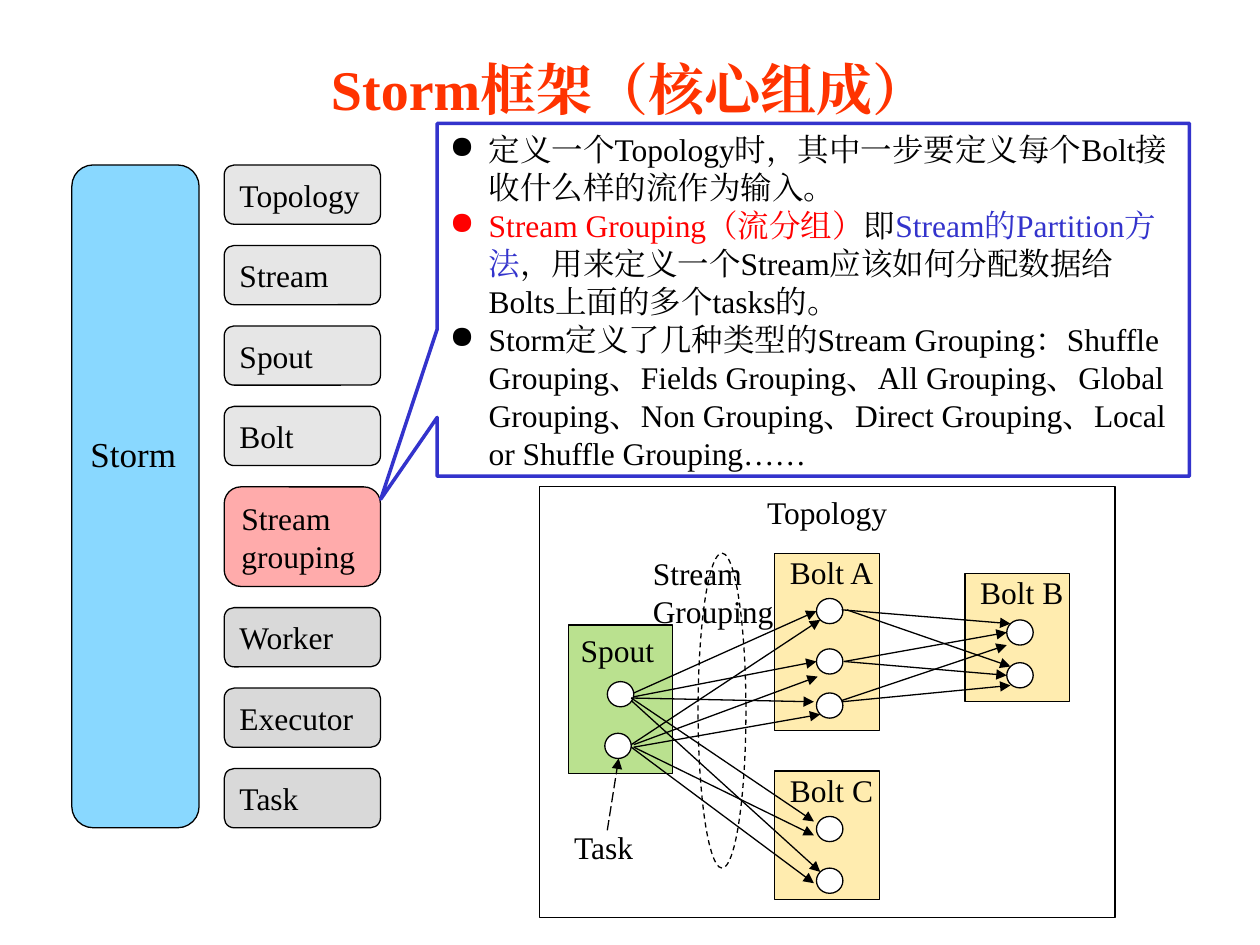
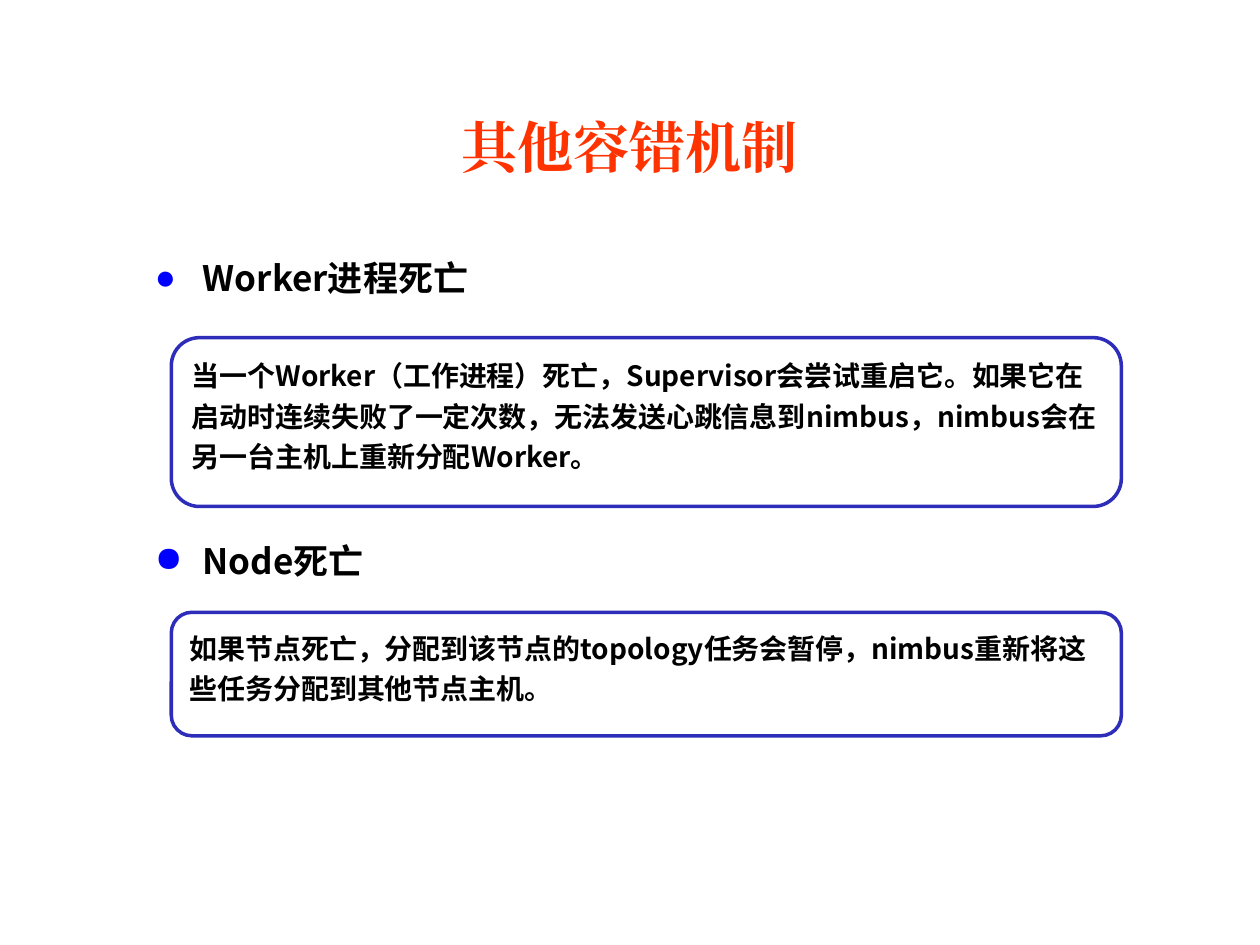
from lxml import etree
from pptx import Presentation
from pptx.dml.color import RGBColor
from pptx.enum.dml import MSO_LINE
from pptx.enum.shapes import MSO_CONNECTOR, MSO_SHAPE
from pptx.enum.text import MSO_ANCHOR, MSO_AUTO_SIZE, PP_ALIGN
from pptx.oxml.ns import qn
from pptx.util import Inches, Pt

RECT = MSO_SHAPE.RECTANGLE
ROUND = MSO_SHAPE.ROUNDED_RECTANGLE
OVAL = MSO_SHAPE.OVAL
CALLOUT = MSO_SHAPE.RECTANGULAR_CALLOUT
STRAIGHT = MSO_CONNECTOR.STRAIGHT
DASH, LONG_DASH = MSO_LINE.DASH, MSO_LINE.LONG_DASH
TOP, MIDDLE = MSO_ANCHOR.TOP, MSO_ANCHOR.MIDDLE
LEFT, CENTER, JUSTIFY = PP_ALIGN.LEFT, PP_ALIGN.CENTER, PP_ALIGN.JUSTIFY
NO_FIT = MSO_AUTO_SIZE.NONE

SERIF, SANS = "Times New Roman", "Noto Sans CJK SC"
BLACK, WHITE, RED = "000000", "FFFFFF", "FF0000"
TITLE_RED, CALLOUT_BLUE, FRAME_BLUE, BULLET_BLUE = "FF3300", "3333CC", "2D2DB9", "0000FF"
YELLOW, GREEN, SKY, PINK = "FFECAF", "BAE18F", "89D8FF", "FFABAB"
LIGHT_GRAY, GRAY = "E6E6E6", "D9D9D9"
rgb = RGBColor.from_string


def write(box, lines, size=18, font=SERIF, color=BLACK, bold=False, align=LEFT, anchor=TOP,
          spacing=None, before=0, insets=(0.1, 0.05, 0.1, 0.05), indent=0, bullet_color=None):
    frame = box.text_frame
    frame.word_wrap = True
    frame.auto_size = NO_FIT
    frame.vertical_anchor = anchor
    frame.margin_left, frame.margin_top, frame.margin_right, frame.margin_bottom = map(Inches, insets)
    for number, line in enumerate(lines):
        para = frame.add_paragraph() if number else frame.paragraphs[0]
        para.alignment = align
        para.line_spacing = spacing
        para.space_before = Pt(before)
        if indent:
            properties = para._p.get_or_add_pPr()
            properties.set("marL", str(Inches(indent)))
            properties.set("indent", str(-Inches(indent)))
            if bullet_color:
                holder = etree.SubElement(properties, qn("a:buClr"))
                etree.SubElement(holder, qn("a:srgbClr"), val=bullet_color)
            etree.SubElement(properties, qn("a:buChar"), char="●")
        for text, span_color in [(line, color)] if isinstance(line, str) else line:
            span = para.add_run()
            span.text = text
            span.font.size = Pt(size)
            span.font.name = font
            span.font.bold = bold
            span.font.color.rgb = rgb(span_color)
            latin = span._r.rPr.find(qn("a:latin"))
            latin.addnext(etree.Element(qn("a:ea"), typeface=font))


def add_box(page, kind, place, fill=None, line=BLACK, width=0.75):
    box = page.shapes.add_shape(kind, *map(Inches, place))
    box.shadow.inherit = False
    if fill:
        box.fill.solid()
        box.fill.fore_color.rgb = rgb(fill)
    else:
        box.fill.background()
    if line:
        box.line.color.rgb = rgb(line)
        box.line.width = Pt(width)
    else:
        box.line.fill.background()
    return box


deck = Presentation()
deck.slide_width, deck.slide_height = Inches(10), Inches(7.5)
framework = deck.slides.add_slide(deck.slide_layouts[5])
recovery = deck.slides.add_slide(deck.slide_layouts[1])

for page, top, text in [(framework, 0.21, "Storm框架（核心组成）"), (recovery, 0.67, "其他容错机制")]:
    title = page.shapes.title
    title.left, title.top, title.width, title.height = map(Inches, (0.75, top, 8.5, 0.92))
    write(title, [text], size=32, color=TITLE_RED, bold=True, align=CENTER, anchor=MIDDLE, spacing=1.1)

column_top, column_height = 1.31, 5.26
storm = add_box(framework, ROUND, (0.57, column_top, 1.01, column_height), SKY)
write(storm, ["Storm"], size=20, insets=(0.1, 2.07, 0.1, 0.05))

parts = [
    (["Topology"], LIGHT_GRAY), (["Stream"], LIGHT_GRAY), (["Spout"], LIGHT_GRAY),
    (["Bolt"], LIGHT_GRAY), (["Stream", "grouping"], PINK),
    (["Worker"], GRAY), (["Executor"], GRAY), (["Task"], GRAY),
]
part_heights = [0.47 if len(lines) == 1 else 0.79 for lines, fill in parts]
part_gap = (column_height - sum(part_heights)) / (len(parts) - 1)
top = column_top
for (lines, fill), height in zip(parts, part_heights):
    part = add_box(framework, ROUND, (1.78, top, 1.24, height), fill)
    write(part, lines, anchor=MIDDLE)
    top += height + part_gap

callout = add_box(framework, CALLOUT, (3.47, 0.98, 5.97, 2.8), WHITE, CALLOUT_BLUE, 2)
callout.adjustments[0], callout.adjustments[1] = -0.575, 0.565
write(callout, [
    "定义一个Topology时，其中一步要定义每个Bolt接收什么样的流作为输入。",
    [
        ("Stream Grouping（流分组）", RED),
        ("即", BLACK),
        ("Stream的Partition方法", CALLOUT_BLUE),
        ("，用来定义一个Stream应该如何分配数据给Bolts上面的多个tasks的。", BLACK),
    ],
    "Storm定义了几种类型的Stream Grouping：Shuffle Grouping、Fields Grouping、All Grouping、"
    "Global Grouping、Non Grouping、Direct Grouping、Local or Shuffle Grouping……",
], indent=0.31, spacing=Pt(21.7))

topology = add_box(framework, RECT, (4.28, 3.86, 4.57, 3.42), WHITE)
write(topology, ["Topology"], align=CENTER)

bolt_insets, spout_insets = (0.12, 0, 0, 0), (0.1, 0.05, 0.1, 0.05)
components = [
    ("Bolt A", 6.15, 4.39, 1.41, YELLOW, bolt_insets, [(6.48, 4.75), (6.48, 5.15), (6.48, 5.5)]),
    ("Spout", 4.51, 4.96, 1.18, GREEN, spout_insets, [(4.82, 5.41), (4.8, 5.82)]),
    ("Bolt C", 6.15, 6.12, 1.02, YELLOW, bolt_insets, [(6.48, 6.48), (6.48, 6.89)]),
    ("Bolt B", 7.66, 4.55, 1.02, YELLOW, bolt_insets, [(7.99, 4.92), (7.99, 5.26)]),
]
for name, left, top, height, fill, insets, tasks in components:
    component = add_box(framework, RECT, (left, top, 0.83, height), fill)
    write(component, [name], insets=insets)
    for task_left, task_top in tasks:
        add_box(framework, OVAL, (task_left, task_top, 0.21, 0.2), WHITE)

stream_arrows = [
    (5.03, 5.5, 6.48, 4.85), (5.03, 5.53, 6.48, 5.25), (5.01, 5.54, 6.46, 5.57),
    (5.03, 5.93, 6.46, 6.63), (5.01, 5.93, 6.46, 7.01), (5.01, 5.54, 6.46, 6.52),
    (5.01, 5.56, 6.51, 6.92), (5.03, 5.93, 6.51, 5.67), (5.03, 5.91, 6.49, 5.37),
    (5.01, 5.91, 6.51, 4.92), (6.68, 4.84, 8.02, 4.95), (6.72, 4.84, 8.02, 5.29),
    (6.7, 5.25, 7.99, 5.02), (6.7, 5.25, 7.99, 5.36), (6.68, 5.56, 7.99, 5.12),
    (6.68, 5.57, 8.02, 5.44),
]
task_pointer = (4.82, 6.59, 4.91, 6.02)
for ends in stream_arrows + [task_pointer]:
    arrow = framework.shapes.add_connector(STRAIGHT, *map(Inches, ends))
    arrow.line.color.rgb = rgb(BLACK)
    arrow.line.width = Pt(0.75)
    if ends == task_pointer:
        arrow.line.dash_style = LONG_DASH
    etree.SubElement(arrow.line._get_or_add_ln(), qn("a:tailEnd"), type="triangle")
    etree.SubElement(arrow._element.spPr, qn("a:effectLst"))

grouping_ring = add_box(framework, OVAL, (5.54, 4.39, 0.38, 2.5))
grouping_ring.line.dash_style = DASH

for lines, place in [
    (["Task"], (4.54, 6.56, 0.51, 0.33)),
    (["Stream", "Grouping"], (5.15, 4.37, 1.12, 0.63)),
]:
    label = add_box(framework, ROUND, place, line=None)
    write(label, lines, insets=(0, 0, 0, 0))

worker_heading = recovery.placeholders[1]
node_heading = recovery.shapes.add_textbox(0, 0, 0, 0)
failures = [
    (worker_heading, 1.92, "Worker进程死亡", 2.68, 1.34,
     "当一个Worker（工作进程）死亡，Supervisor会尝试重启它。如果它在启动时连续失败了一定次数，"
     "无法发送心跳信息到nimbus，nimbus会在另一台主机上重新分配Worker。"),
    (node_heading, 4.17, "Node死亡", 4.86, 0.98,
     "如果节点死亡，分配到该节点的topology任务会暂停，nimbus重新将这些任务分配到其他节点主机。"),
]
for heading, heading_top, name, frame_top, frame_height, remedy in failures:
    heading.left, heading.top, heading.width, heading.height = map(Inches, (1.13, heading_top, 3.68, 0.53))
    write(heading, [name], size=20, font=SANS, bold=True, align=JUSTIFY, spacing=1.2, before=4,
          indent=0.38, bullet_color=BULLET_BLUE)
    remedy_box = add_box(recovery, ROUND, (1.36, frame_top, 7.54, frame_height), WHITE, FRAME_BLUE, 2)
    write(remedy_box, [remedy], size=16, font=SANS, bold=True, spacing=1.2)

deck.save("out.pptx")
